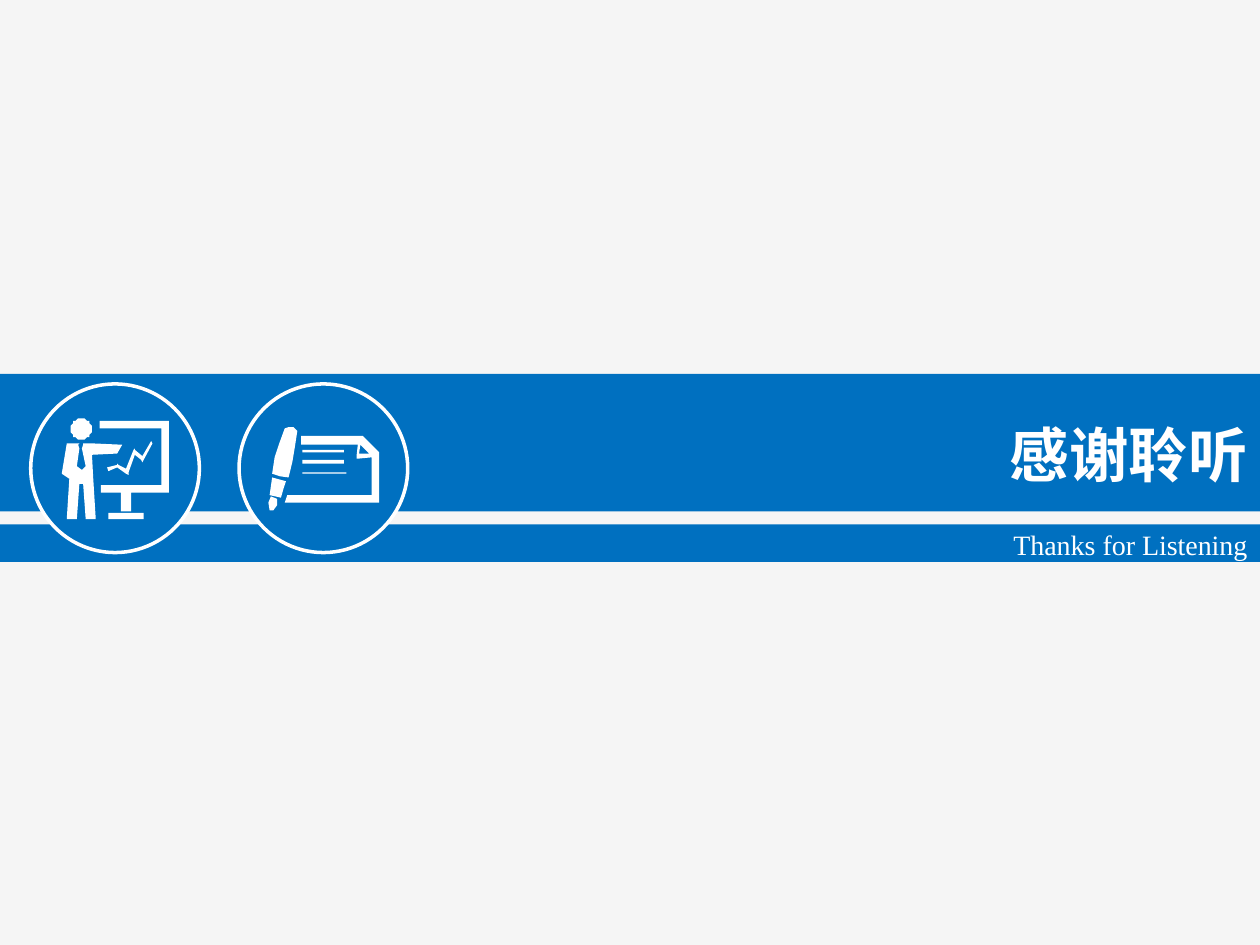
from math import cos, sin, pi

from pptx import Presentation
from pptx.dml.color import RGBColor as Rgb
from pptx.enum.shapes import MSO_SHAPE as Kind
from pptx.enum.text import MSO_AUTO_SIZE as Fit, PP_ALIGN as Align
from pptx.oxml.xmlchemy import OxmlElement as Node
from pptx.util import Cm, Pt

COLORS = {"back": "F5F5F5", "band": "0070C0", "ink": "FFFFFF"}
WIDTH, HEIGHT = 25.4, 19.05
DISC = 3.4
UNIT = Cm(2.54) / 100  # icon points are in hundredths of an inch


def color(name):
    return Rgb.from_string(COLORS[name])


def paint(shape, fill, line=None):
    shape.shadow.inherit = False
    shape.fill.solid()
    shape.fill.fore_color.rgb = color(fill)
    if line:
        shape.line.color.rgb = color(line)
        shape.line.width = Pt(2)
    else:
        shape.line.fill.background()


def add_band(slide, top, height):
    band = slide.shapes.add_shape(Kind.RECTANGLE, 0, Cm(top), Cm(WIDTH), Cm(height))
    paint(band, "band")


def add_disc(slide, left):
    disc = slide.shapes.add_shape(Kind.OVAL, Cm(left), Cm(7.74), Cm(DISC), Cm(DISC))
    paint(disc, "band", "ink")


def add_icon(slide, loops):
    """Draw closed outlines as one white freeform."""
    pen = slide.shapes.build_freeform(*loops[0][0], scale=UNIT)
    for i, loop in enumerate(loops):
        if i:
            pen.move_to(*loop[0])
        pen.add_line_segments(loop[1:], close=True)
    paint(pen.convert_to_shape(), "ink")


def add_text(slide, text, left, top, height, size, face, bold=False):
    """Add a right-aligned line that ends at the slide edge."""
    box = slide.shapes.add_textbox(Cm(left), Cm(top), Cm(WIDTH - left), Cm(height))
    frame = box.text_frame
    frame.word_wrap = True
    frame.auto_size = Fit.SHAPE_TO_FIT_TEXT
    para = frame.paragraphs[0]
    para.text = text
    para.alignment = Align.RIGHT
    para.line_spacing = 1.25
    font = para.font
    font.name, font.size, font.bold = face, Pt(size), bold
    font.color.rgb = color("ink")
    asian = Node("a:ea")
    asian.set("typeface", face)
    para._p.get_or_add_pPr().get_or_add_defRPr().append(asian)


def rect(left, top, right, bottom):
    return [(left, top), (right, top), (right, bottom), (left, bottom)]


def ring(x, y, radius, count=40):
    """Points around a circle."""
    turns = [2 * pi * i / count for i in range(count)]
    return [(x + radius * cos(t), y + radius * sin(t)) for t in turns]


def speaker():
    chart = [(85, 371), (93, 369), (93, 368), (94, 369), (100, 372), (106, 357),
             (107, 356), (107, 357), (113, 362), (120, 350), (121, 352),
             (114, 365), (113, 367), (112, 365), (107, 361), (102, 375),
             (102, 377), (100, 376), (93, 371), (86, 374)]
    board = [(104, 391), (134, 391), (134, 334), (79, 334), (79, 340),
             (128, 340), (128, 385), (80, 385), (80, 391), (96, 391),
             (96, 406), (104, 406)]
    body = [(49, 376), (55, 380), (53, 412), (61, 412), (63, 384), (66, 384),
            (68, 412), (76, 412), (74, 380), (73, 361), (93, 360), (97, 353),
            (75, 352), (66, 352), (66, 353), (65, 356), (68, 370), (65, 373),
            (61, 370), (63, 356), (62, 353), (63, 352), (53, 352)]
    return [ring(64.5, 340.5, 8.5), chart, rect(86, 407, 114, 412), board, body]


def writing():
    barrel = [(226, 340), (229, 339), (233, 339), (236, 342), (234.5, 355),
              (232, 367), (229, 379), (222.5, 378), (216, 376), (218, 363),
              (221.5, 351)]
    page = [(228, 393), (226, 399), (301, 399), (301, 359), (300, 358),
            (289, 347), (288, 346), (239, 346), (239, 353), (284, 353),
            (283, 362), (283, 364), (285, 364), (295, 363), (295, 393)]
    fold = [(293, 360), (285, 360), (286, 353)]
    lines = [rect(240, 357, 273, 359), rect(240, 365, 273, 368),
             rect(240, 375, 275, 376)]
    nib = [(215, 394), (220, 396), (220, 401), (217, 405), (214, 405), (213, 399)]
    grip = [(216, 379), (215, 386), (214, 393), (223, 395), (225, 388), (227, 382)]
    return [barrel, page, fold, *lines, nib, grip]


def main():
    deck = Presentation()
    deck.slide_width, deck.slide_height = Cm(WIDTH), Cm(HEIGHT)
    slide = deck.slides.add_slide(deck.slide_layouts[6])
    back = slide.background.fill
    back.solid()
    back.fore_color.rgb = color("back")

    add_band(slide, 10.57, 0.76)
    add_band(slide, 7.54, 2.77)
    add_text(slide, "感谢聆听", 11.43, 7.95, 1.9, 34, "Noto Sans CJK SC", True)
    add_text(slide, "Thanks for Listening", 13.77, 10.34, 1.02, 16, "Times New Roman")
    for left, icon in ((0.62, speaker), (4.82, writing)):
        add_disc(slide, left)
        add_icon(slide, icon())
    deck.save("out.pptx")


if __name__ == "__main__":
    main()
